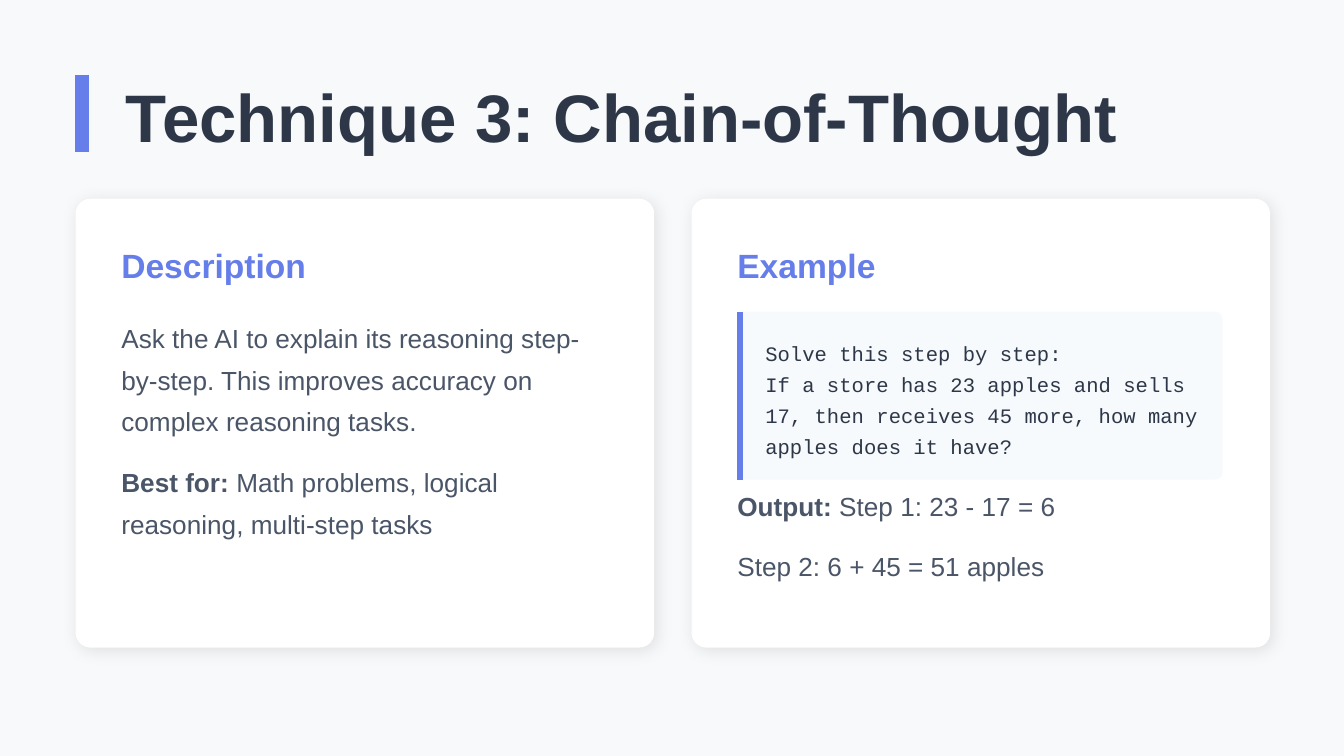
from lxml import etree
from pptx import Presentation
from pptx.dml.color import RGBColor
from pptx.enum.shapes import MSO_CONNECTOR, MSO_SHAPE
from pptx.oxml import parse_xml
from pptx.oxml.ns import nsdecls, qn
from pptx.util import Pt

ROUNDED = MSO_SHAPE.ROUNDED_RECTANGLE
STRAIGHT = MSO_CONNECTOR.STRAIGHT

COLORS = {
    "background": "F8F9FA",
    "accent": "667EEA",
    "heading": "2D3748",
    "body": "4A5568",
    "card": "FFFFFF",
    "code": "F7FAFC",
}
SANS, MONO = "Arial", "Courier New"

# Card grid, in points
CARD_LEFT, CARD_TOP, CARD_W, CARD_H = 40.5, 106.5, 310, 240.5
CARD_STEP = 330
PADDING = 24.5
TEXT_W = 265


def rgb(name):
    return RGBColor.from_string(COLORS[name])


def add_text(slide, x, y, w, h, parts, size, color, font=SANS,
             spacing=None, after=None):
    """Add one paragraph made of (text, bold) parts."""
    box = slide.shapes.add_textbox(Pt(x), Pt(y), Pt(w), Pt(h))
    tf = box.text_frame
    tf.word_wrap = True
    tf.margin_left = tf.margin_top = tf.margin_right = tf.margin_bottom = 0
    p = tf.paragraphs[0]
    if spacing:
        p.line_spacing = Pt(spacing)
    if after:
        p.space_after = Pt(after)
    for text, bold in parts:
        r = p.add_run()
        r.text = text
        r.font.name = font
        r.font.size = Pt(size)
        r.font.bold = bold
        r.font.color.rgb = rgb(color)


def add_body(slide, x, y, h, *parts):
    add_text(slide, x, y, TEXT_W, h, parts, 14, "body", spacing=22.4, after=10)


def add_code(slide, x, y, h, text):
    add_text(slide, x, y, 237.5, h, [(text, False)], 11, "heading",
             font=MONO, spacing=16.5)


def add_panel(slide, x, y, w, h, radius, color):
    sp = slide.shapes.add_shape(ROUNDED, Pt(x), Pt(y), Pt(w), Pt(h))
    sp.adjustments[0] = radius / min(w, h)
    sp.fill.solid()
    sp.fill.fore_color.rgb = rgb(color)
    sp.line.fill.background()
    sp.shadow.inherit = False
    return sp


def add_soft_shadow(sp):
    effects = sp._element.spPr.find(qn("a:effectLst"))
    effects.append(parse_xml(
        f'<a:outerShdw {nsdecls("a")} blurRad="{Pt(9)}" dist="{Pt(2.1)}" '
        'dir="2700000" algn="bl" rotWithShape="0">'
        '<a:srgbClr val="000000"><a:alpha val="10000"/></a:srgbClr>'
        '</a:outerShdw>'))


def add_bar(slide, x, top, bottom, width):
    line = slide.shapes.add_connector(STRAIGHT, Pt(x), Pt(top), Pt(x), Pt(bottom))
    line.line.color.rgb = rgb("accent")
    line.line.width = Pt(width)
    etree.SubElement(line._element.spPr, qn("a:effectLst"))


def add_card(slide, column, heading):
    """Add a card with its heading and return the left edge of its content."""
    left = CARD_LEFT + column * CARD_STEP
    x = left + PADDING
    card = add_panel(slide, left, CARD_TOP, CARD_W, CARD_H, 8, "card")
    add_soft_shadow(card)
    add_text(slide, x, 131, TEXT_W, 21, [(heading, True)], 18, "accent", after=15)
    return x


def main():
    prs = Presentation()
    prs.slide_width, prs.slide_height = Pt(720), Pt(405)
    slide = prs.slides.add_slide(prs.slide_layouts[6])
    slide.background.fill.solid()
    slide.background.fill.fore_color.rgb = rgb("background")

    # Title
    add_bar(slide, 43.75, 40, 81.25, 7.5)
    add_text(slide, 67.5, 40.5, 625, 41,
             [("Technique 3: Chain-of-Thought", True)], 36, "heading")

    # Description card
    x = add_card(slide, 0, "Description")
    add_body(slide, x, 167, 67,
             ("Ask the AI to explain its reasoning step-by-step. "
              "This improves accuracy on complex reasoning tasks.", False))
    add_body(slide, x, 244.5, 45, ("Best for:", True),
             (" Math problems, logical reasoning, multi-step tasks", False))

    # Example card with prompt box
    x = add_card(slide, 1, "Example")
    add_panel(slide, x, 167, 260, 90, 4, "code")
    add_bar(slide, x + 1.5, 167, 257, 3)
    add_code(slide, x + 15, 179.5, 16.5, "Solve this step by step:")
    add_code(slide, x + 15, 196, 49.5,
             "If a store has 23 apples and sells 17, then receives 45 more, "
             "how many apples does it have?")

    # Example output
    add_body(slide, x, 257, 22.4, ("Output:", True),
             (" Step 1: 23 - 17 = 6", False))
    add_body(slide, x, 289.5, 22.4, ("Step 2: 6 + 45 = 51 apples", False))

    prs.save("out.pptx")


if __name__ == "__main__":
    main()
